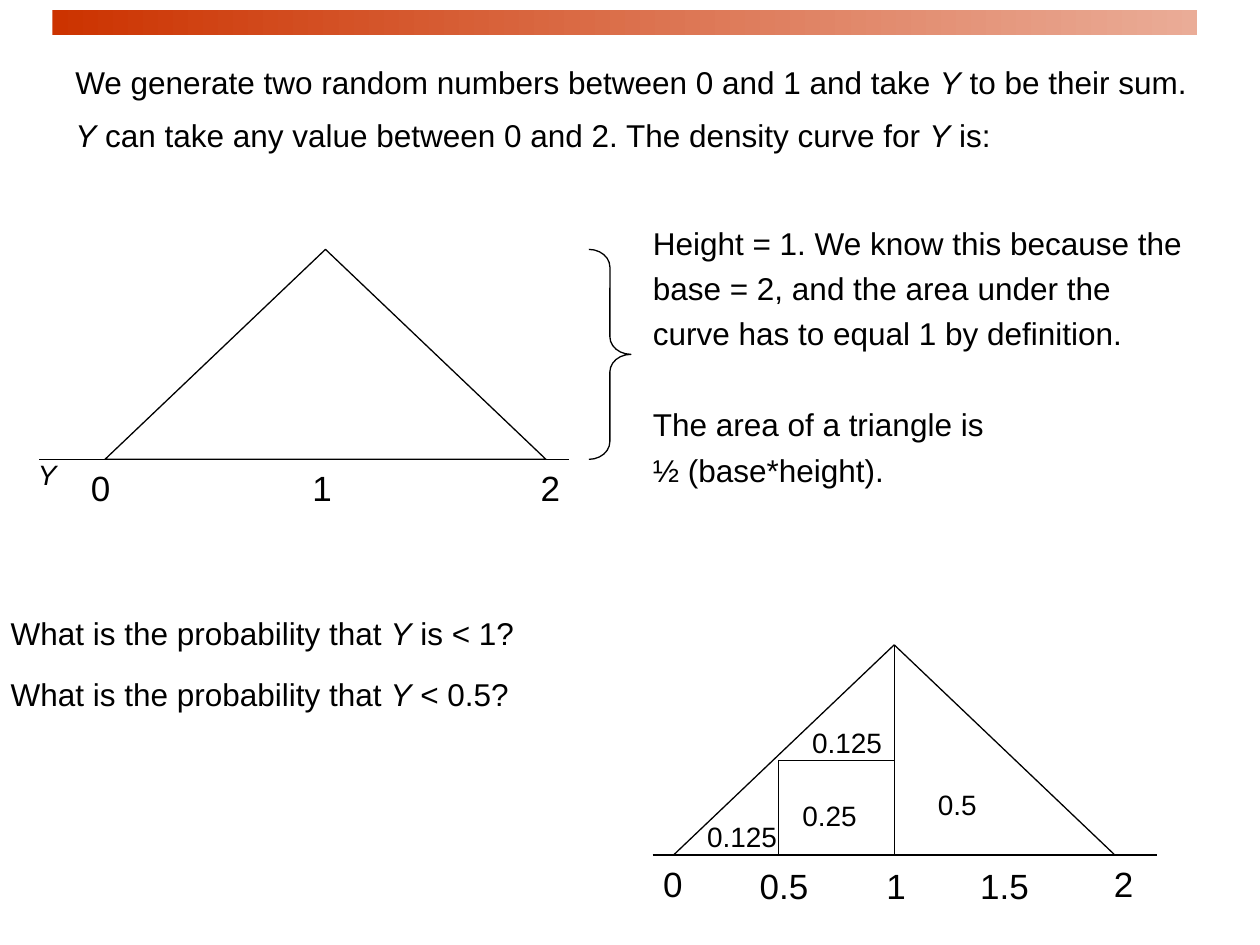
import pptx
import pptx.util
import pptx.dml.color
import pptx.enum.shapes
import pptx.enum.text
import pptx.oxml.ns
from lxml import etree

Pt = pptx.util.Pt
SHAPES = pptx.enum.shapes.MSO_SHAPE
COLORS = {"ink": "000000", "bar_dark": "CC3300", "bar_light": "EAAC97"}
FONT = "Arial"
TRIANGLE_WIDTH, TRIANGLE_HEIGHT = 252, 120


def rgb(name):
    return pptx.dml.color.RGBColor.from_string(COLORS[name])


def add_text(slide, box, paragraphs, size=18, spacing=1.0, wrap=True):
    """Each paragraph is a list of strings; the string "Y" is set in italics."""
    shape = slide.shapes.add_textbox(*map(Pt, box))
    frame = shape.text_frame
    frame.word_wrap = wrap
    for index, parts in enumerate(paragraphs):
        paragraph = frame.paragraphs[0] if index == 0 else frame.add_paragraph()
        paragraph.line_spacing = spacing
        paragraph.font.size = Pt(size)
        paragraph.font.name = FONT
        paragraph.font.color.rgb = rgb("ink")
        for position, part in enumerate(parts):
            if position:
                part = part.lstrip("\n")
            lines = part.split("\n")
            for number, line in enumerate(lines):
                if number:
                    paragraph.add_line_break()
                run = paragraph.add_run()
                run.text = line
                if line == "Y":
                    run.font.italic = True
    return frame


def add_label(slide, center, top, text, size):
    width = 60
    box = (center - width / 2, top, width, size * 1.6)
    frame = add_text(slide, box, [[text]], size, wrap=False)
    frame.paragraphs[0].alignment = pptx.enum.text.PP_ALIGN.CENTER


def add_line(slide, x1, y1, x2, y2):
    line = slide.shapes.add_connector(
        pptx.enum.shapes.MSO_CONNECTOR.STRAIGHT, *map(Pt, (x1, y1, x2, y2)))
    line.line.color.rgb = rgb("ink")
    line.line.width = Pt(0.75)
    etree.SubElement(line._element.spPr, pptx.oxml.ns.qn("a:effectLst"))


def add_outline(slide, preset, box):
    shape = slide.shapes.add_shape(preset, *map(Pt, box))
    shape.shadow.inherit = False
    shape.fill.background()
    shape.line.color.rgb = rgb("ink")
    shape.line.width = Pt(0.75)
    return shape


def add_bar(slide, box):
    bar = slide.shapes.add_shape(SHAPES.RECTANGLE, *map(Pt, box))
    bar.shadow.inherit = False
    bar.line.fill.background()
    bar.fill.gradient()
    bar.fill.gradient_angle = 0
    for stop, color in zip(bar.fill.gradient_stops, ("bar_dark", "bar_light")):
        stop.color.rgb = rgb(color)


def add_density(slide, left, top):
    base = top + TRIANGLE_HEIGHT
    add_line(slide, left - 37.5, base, left + 265, base)
    add_outline(slide, SHAPES.ISOSCELES_TRIANGLE,
                (left, top, TRIANGLE_WIDTH, TRIANGLE_HEIGHT))
    for offset, text in ((-2.5, "0"), (124, "1"), (254.5, "2")):
        add_label(slide, left + offset, base + 0.5, text, 20)
    add_label(slide, left - 33, base - 4.5, "Y", 16)
    # Brace marking the height
    brace = add_outline(slide, SHAPES.RIGHT_BRACE,
                        (left + 276.5, top, 24, TRIANGLE_HEIGHT))
    brace.adjustments[0] = 0.42


def add_divided_density(slide, left, top):
    base = top + TRIANGLE_HEIGHT
    middle = left + TRIANGLE_WIDTH / 2
    half_x, half_y = left + 60, top + 66
    lines = (
        (left - 12, base, left + 276, base),
        (left, base, middle, top),
        (middle, top, left + TRIANGLE_WIDTH, base),
        (half_x, base, half_x, half_y),
        (middle, base, middle, top),
        (middle, half_y, half_x, half_y),
    )
    for line in lines:
        add_line(slide, *line)
    # Axis values
    for offset, drop, text in ((-0.5, 1, "0"), (63, 2, "0.5"), (127, 2, "1"),
                               (189, 2, "1.5"), (257, 1, "2")):
        add_label(slide, left + offset, base + drop, text, 20)
    # Area of each part
    for x, y, text in ((39, 96.5, "0.125"), (99, 42.5, "0.125"),
                       (89, 84, "0.25"), (162, 78, "0.5")):
        add_label(slide, left + x, top + y, text, 16)


def add_explanation(slide, box):
    frame = add_text(slide, box, [
        ["Height = 1. We know this because the base = 2, and the area under "
         "the curve has to equal 1 by definition."],
        ["The area of a triangle is\n½ (base*height)."],
    ], spacing=1.2)
    frame.paragraphs[1].space_before = Pt(26)


def add_questions(slide, box):
    question = "What is the probability that "
    frame = add_text(slide, box, [[question, "Y", " is < 1?"],
                                  [question, "Y", " < 0.5?"]], spacing=1.9)
    frame.paragraphs[1].line_spacing = 1.6


def main():
    presentation = pptx.Presentation()
    presentation.slide_width, presentation.slide_height = Pt(720), Pt(540)
    slide = presentation.slides.add_slide(presentation.slide_layouts[6])
    add_bar(slide, (30, 6, 654, 14))
    add_text(slide, (36, 24, 654, 68), [[
        "We generate two random numbers between 0 and 1 and take ", "Y",
        " to be their sum. ", "Y",
        " can take any value between 0 and 2. The density curve for ", "Y",
        " is:"]], spacing=1.4)
    add_density(slide, 60, 142.5)
    add_explanation(slide, (366, 120, 318, 163))
    add_questions(slide, (-1, 328, 379, 83))
    add_divided_density(slide, 385, 368.5)
    presentation.save("out.pptx")


if __name__ == "__main__":
    main()
